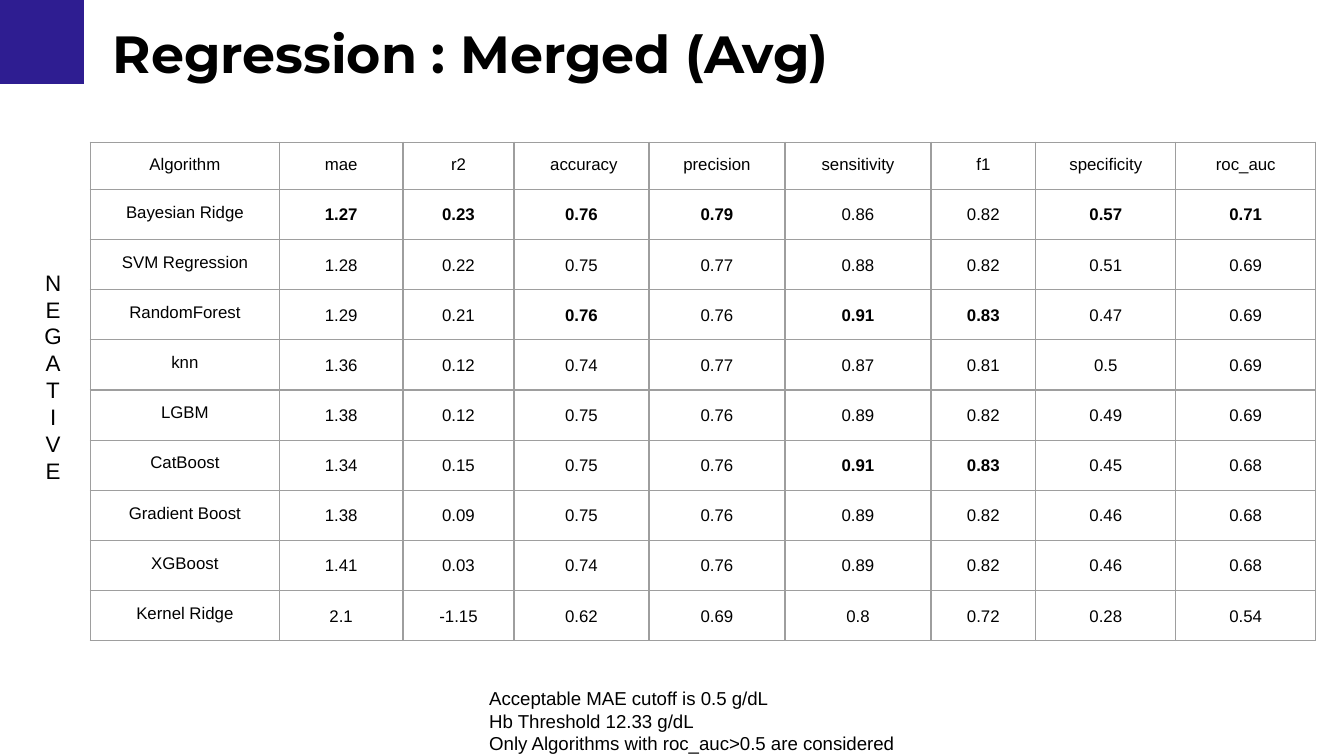
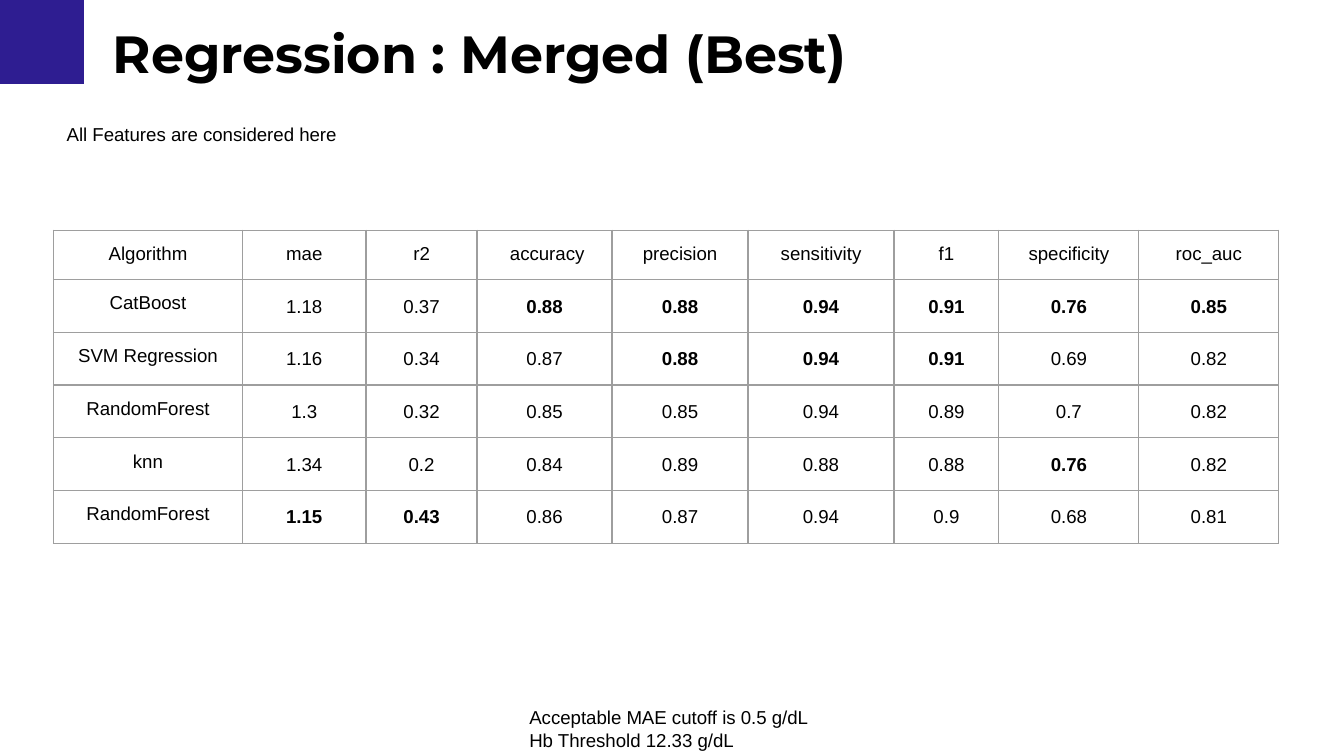
from lxml.etree import SubElement
from pptx import Presentation
from pptx.dml.color import RGBColor
from pptx.enum.shapes import MSO_SHAPE
from pptx.enum.text import MSO_ANCHOR, MSO_AUTO_SIZE, PP_ALIGN
from pptx.oxml.ns import qn
from pptx.util import Pt

COLORS = {"corner": "2E1D91", "text": "000000", "border": "9E9E9E"}
INSET = 7.2
TITLE_BOX = (53.3, 4.3, 607.7, 48.4)
COLUMN_WIDTHS = [101.3, 66.2, 59.5, 72.3, 72.9, 78.2, 56.2, 75, 75]
ROW_HEIGHT = 21
HEADER = ["Algorithm", "mae", "r2", " accuracy", "precision",
          "sensitivity", "f1", "specificity", "roc_auc"]
NOTES = ["Acceptable MAE cutoff is 0.5 g/dL", "Hb Threshold 12.33 g/dL"]

# Results per algorithm; a star marks a best value, set in bold
AVERAGE_RESULTS = [
    ("Bayesian Ridge", "1.27* 0.23* 0.76* 0.79* 0.86 0.82 0.57* 0.71*"),
    ("SVM Regression", "1.28 0.22 0.75 0.77 0.88 0.82 0.51 0.69"),
    ("RandomForest", "1.29 0.21 0.76* 0.76 0.91* 0.83* 0.47 0.69"),
    ("knn", "1.36 0.12 0.74 0.77 0.87 0.81 0.5 0.69"),
    ("LGBM", "1.38 0.12 0.75 0.76 0.89 0.82 0.49 0.69"),
    ("CatBoost", "1.34 0.15 0.75 0.76 0.91* 0.83* 0.45 0.68"),
    ("Gradient Boost", "1.38 0.09 0.75 0.76 0.89 0.82 0.46 0.68"),
    ("XGBoost", "1.41 0.03 0.74 0.76 0.89 0.82 0.46 0.68"),
    ("Kernel Ridge", "2.1 -1.15 0.62 0.69 0.8 0.72 0.28 0.54"),
]
BEST_RESULTS = [
    ("CatBoost", "1.18 0.37 0.88* 0.88* 0.94* 0.91* 0.76* 0.85*"),
    ("SVM Regression", "1.16 0.34 0.87 0.88* 0.94* 0.91* 0.69 0.82"),
    ("RandomForest", "1.3 0.32 0.85 0.85 0.94 0.89 0.7 0.82"),
    ("knn", "1.34 0.2 0.84 0.89 0.88 0.88 0.76* 0.82"),
    ("RandomForest", "1.15* 0.43* 0.86 0.87 0.94 0.9 0.68 0.81"),
]


def color(name):
    return RGBColor.from_string(COLORS[name])


def write_text(text_frame, lines, size=10, font="Arial", bold=False,
               align=PP_ALIGN.LEFT, line_spacing=None):
    """Fill a text frame with one paragraph per line."""
    for index, line in enumerate(lines):
        paragraph = text_frame.add_paragraph() if index else text_frame.paragraphs[0]
        paragraph.alignment = align
        paragraph.line_spacing = line_spacing
        run = paragraph.add_run()
        run.text = line
        run.font.size = Pt(size)
        run.font.name = font
        run.font.bold = bold
        run.font.color.rgb = color("text")


def set_insets(target):
    target.margin_left = target.margin_right = Pt(INSET)
    target.margin_top = target.margin_bottom = Pt(INSET)


def fit_frame(text_frame):
    set_insets(text_frame)
    text_frame.word_wrap = True
    text_frame.auto_size = MSO_AUTO_SIZE.SHAPE_TO_FIT_TEXT
    text_frame.vertical_anchor = MSO_ANCHOR.TOP


def add_text(slide, box, lines, **text_format):
    shape = slide.shapes.add_textbox(*map(Pt, box))
    fit_frame(shape.text_frame)
    write_text(shape.text_frame, lines, **text_format)


def add_titled_slide(presentation, title):
    slide = presentation.slides.add_slide(presentation.slide_layouts[5])
    # Corner square
    corner = slide.shapes.add_shape(MSO_SHAPE.RECTANGLE, 0, 0, Pt(45), Pt(45))
    corner.shadow.inherit = False
    corner.fill.solid()
    corner.fill.fore_color.rgb = color("corner")
    corner.line.fill.background()
    # Title
    shape = slide.shapes.title
    shape.left, shape.top, shape.width, shape.height = map(Pt, TITLE_BOX)
    fit_frame(shape.text_frame)
    write_text(shape.text_frame, [title], size=28, font="Montserrat", bold=True)
    return slide


def draw_borders(cell):
    properties = cell._tc.get_or_add_tcPr()
    for index, side in enumerate(("a:lnL", "a:lnR", "a:lnT", "a:lnB")):
        line = SubElement(properties, qn(side), w=str(Pt(0.75)))
        fill = SubElement(line, qn("a:solidFill"))
        SubElement(fill, qn("a:srgbClr"), val=COLORS["border"])
        properties.insert(index, line)


def add_results_table(slide, left, top, results, size):
    rows = [HEADER] + [[name, *values.split()] for name, values in results]
    frame = slide.shapes.add_table(
        len(rows), len(HEADER), Pt(left), Pt(top),
        Pt(sum(COLUMN_WIDTHS)), Pt(ROW_HEIGHT * len(rows)))
    table = frame.table
    table.first_row = table.horz_banding = False
    for column, width in zip(table.columns, COLUMN_WIDTHS):
        column.width = Pt(width)
    for row_index, values in enumerate(rows):
        table.rows[row_index].height = Pt(ROW_HEIGHT)
        for column_index, value in enumerate(values):
            cell = table.cell(row_index, column_index)
            set_insets(cell)
            cell.fill.background()
            draw_borders(cell)
            is_number = row_index > 0 and column_index > 0
            write_text(cell.text_frame, [value.rstrip("*")], size=size,
                       bold=value.endswith("*"), align=PP_ALIGN.CENTER,
                       line_spacing=1.15 if is_number else None)


def main():
    presentation = Presentation()
    presentation.slide_width, presentation.slide_height = Pt(720), Pt(405)

    # Average results
    slide = add_titled_slide(presentation, "Regression : Merged (Avg)")
    add_results_table(slide, 48.4, 76.2, AVERAGE_RESULTS, size=9)
    add_text(slide, (14.4, 136.8, 28.1, 131), list("NEGATIVE"),
             size=12, align=PP_ALIGN.CENTER)
    add_text(slide, (255, 361, 243.4, 51),
             NOTES + ["Only Algorithms with roc_auc>0.5 are considered"])

    # Best results
    slide = add_titled_slide(presentation, "Regression : Merged (Best)")
    add_results_table(slide, 28.6, 123.4, BEST_RESULTS, size=10)
    add_text(slide, (276.5, 371, 167, 39), NOTES)
    add_text(slide, (28.6, 59.8, 167, 26.6), ["All Features are considered here"])

    presentation.save("out.pptx")


if __name__ == "__main__":
    main()
